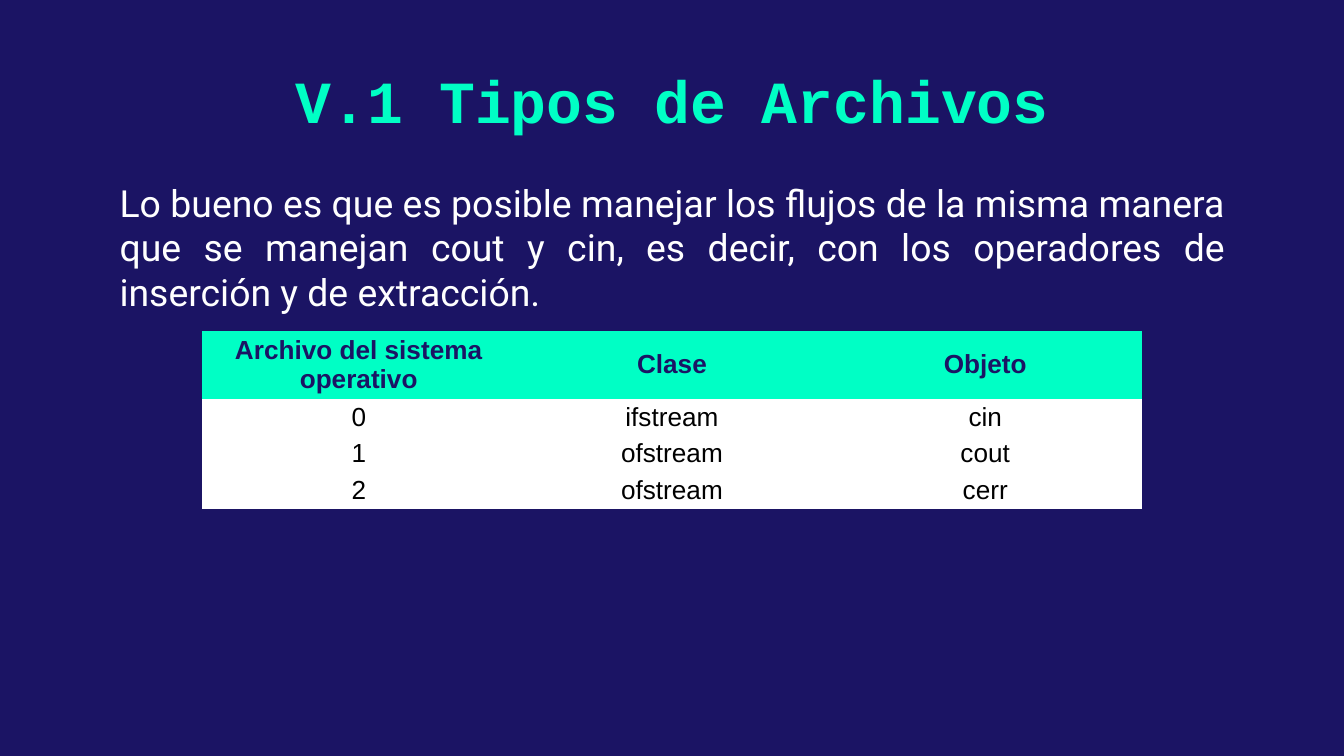
"""Build the slide on file types, with its table of standard streams."""
from pptx import Presentation
from pptx.dml.color import RGBColor
from pptx.enum.text import MSO_ANCHOR, PP_ALIGN
from pptx.util import Cm, Pt

COLORS = {"navy": "1B1464", "mint": "00FFC5", "white": "FFFFFF", "black": "000000"}
NO_GRID_STYLE = "{2D5ABB26-0587-4C30-8999-92F81FD0307C}"
ROWS = [
    ("Archivo del sistema operativo", "Clase", "Objeto"),
    ("0", "ifstream", "cin"),
    ("1", "ofstream", "cout"),
    ("2", "ofstream", "cerr"),
]


def paint(fill, color):
    fill.solid()
    fill.fore_color.rgb = RGBColor.from_string(COLORS[color])


def write(tf, text, font, size, color, align, bold=False):
    p = tf.paragraphs[0]
    p.text = text
    p.alignment = align
    p.font.name = font
    p.font.size = Pt(size)
    p.font.bold = bold
    p.font.color.rgb = RGBColor.from_string(COLORS[color])


def add_text(s, box, inset_top, *style, **options):
    tf = s.shapes.add_textbox(*map(Cm, box)).text_frame
    tf.word_wrap = True
    tf.margin_left = tf.margin_right = tf.margin_bottom = Cm(0.25)
    tf.margin_top = Cm(inset_top)
    write(tf, *style, **options)


def add_cell(cell, text, header):
    paint(cell.fill, "mint" if header else "white")
    cell.vertical_anchor = MSO_ANCHOR.MIDDLE
    cell.margin_left = cell.margin_right = Cm(0.05)
    cell.margin_top = cell.margin_bottom = Cm(0.05)
    write(cell.text_frame, text, "Arial", 14, "navy" if header else "black",
          PP_ALIGN.CENTER, bold=header)


def add_stream_table(s):
    frame = s.shapes.add_table(len(ROWS), len(ROWS[0]),
                               Cm(3.82), Cm(6.25), Cm(17.76), Cm(3.19))
    table = frame.table
    table._tbl.tblPr[0].text = NO_GRID_STYLE
    table.horz_banding = False
    for i, texts in enumerate(ROWS):
        table.rows[i].height = Cm(0.66 if i else 1.21)
        for j, text in enumerate(texts):
            add_cell(table.cell(i, j), text, header=i == 0)


def main():
    prs = Presentation()
    prs.slide_width, prs.slide_height = Cm(25.4), Cm(14.29)
    s = prs.slides.add_slide(prs.slide_layouts[6])
    paint(s.background.fill, "navy")
    add_text(s, (1.83, 0.71, 21.77, 2.64), 0.5, "V.1 Tipos de Archivos",
             "Courier New", 32, "mint", PP_ALIGN.CENTER, bold=True)
    add_text(s, (2.01, 3.15, 21.41, 9.35), 0.25,
             "Lo bueno es que es posible manejar los flujos de la misma manera "
             "que se manejan cout y cin, es decir, con los operadores de "
             "inserción y de extracción.",
             "Roboto", 20, "white", PP_ALIGN.JUSTIFY)
    add_stream_table(s)
    prs.save("out.pptx")


if __name__ == "__main__":
    main()
